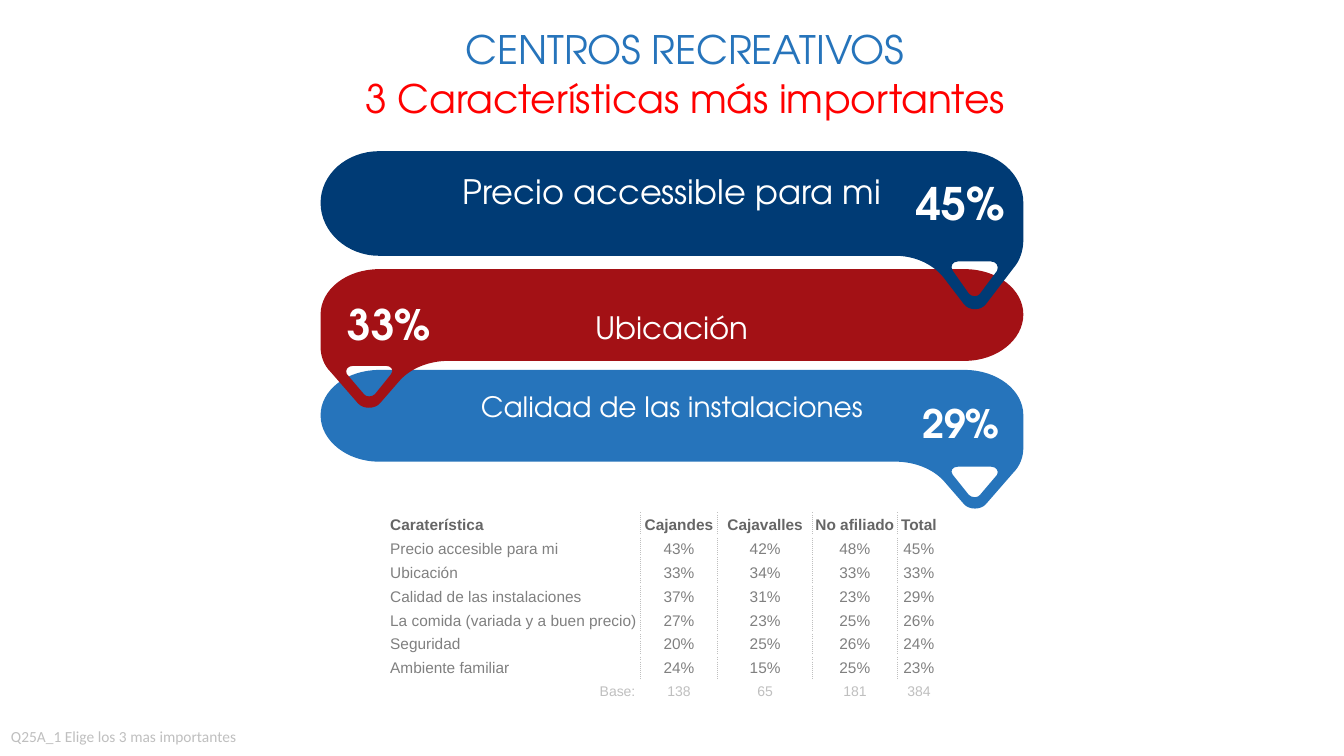
from dataclasses import dataclass

from lxml import etree
from pptx import Presentation
from pptx.dml.color import RGBColor
from pptx.enum.text import MSO_ANCHOR, MSO_AUTO_SIZE, PP_ALIGN as Align
from pptx.oxml.ns import qn
from pptx.util import Inches, Pt


@dataclass(frozen=True)
class Theme:
    display: str = "TeX Gyre Adventor"
    table_font: str = "Arial"
    note_font: str = "Calibri"
    white: str = "FFFFFF"
    blue: str = "2674BB"
    navy: str = "003B75"
    crimson: str = "A31115"
    red: str = "FF0000"
    heading_gray: str = "666666"
    body_gray: str = "808080"
    pale_gray: str = "BFBFBF"
    title_size: int = 28
    table_size: int = 11
    base_size: int = 10
    note_size: int = 11


theme = Theme()


def write(para, text, face, size, color, bold=False, align=Align.LEFT):
    para.text = text
    para.alignment = align
    for span in para.runs:
        span.font.name = face
        span.font.size = Pt(size)
        span.font.bold = bold
        span.font.color.rgb = RGBColor.from_string(color)


def add_text_box(left, top, width, height):
    box = page.shapes.add_textbox(Inches(left), Inches(top), Inches(width), Inches(height))
    box.text_frame.word_wrap = True
    box.text_frame.auto_size = MSO_AUTO_SIZE.SHAPE_TO_FIT_TEXT
    return box.text_frame


deck = Presentation()
deck.slide_width, deck.slide_height = Inches(13.33), Inches(7.5)
page = deck.slides.add_slide(deck.slide_layouts[6])

# Title and footnote
title = add_text_box(1.67, 0.24, 10.25, 0.97)
title.margin_left = title.margin_right = title.margin_bottom = 0
title.margin_top = Inches(0.01)
write(title.paragraphs[0], "CENTROS RECREATIVOS", theme.display, theme.title_size,
      theme.blue, align=Align.CENTER)
subtitle = title.add_paragraph()
write(subtitle, "3 Características más importantes", theme.display, theme.title_size,
      theme.red, align=Align.CENTER)
subtitle.space_before = Pt(1.5)
for para in title.paragraphs:
    para.runs[0].font._element.set("spc", "-5")

note = add_text_box(0.01, 7.16, 9.41, 0.29)
write(note.paragraphs[0], "Q25A_1 Elige los 3 mas importantes", theme.note_font,
      theme.note_size, theme.pale_gray)

# Banner contours in inches from the banner corner: one point is a line, three are a curve
BANNER_LEFT, BANNER_WIDTH = 3.18, 6.97
body = [
    [(6.39, 0)], [(0.58, 0)],
    [(0.26, 0), (0, 0.2), (0, 0.45)],
    [(0, 0.7), (0.26, 0.91), (0.58, 0.91)],
    [(5.7, 0.91)],
    [(5.89, 0.91), (6.07, 0.98), (6.18, 1.1)],
    [(6.38, 1.33)],
    [(6.43, 1.39), (6.55, 1.39), (6.6, 1.33)],
    [(6.87, 1.02)],
    [(6.94, 0.95), (6.97, 0.86), (6.97, 0.77)],
    [(6.97, 0.45)],
    [(6.97, 0.2), (6.71, 0), (6.39, 0)],
]
hole = [
    [(6.71, 1.04)], [(6.54, 1.24)],
    [(6.52, 1.27), (6.46, 1.27), (6.43, 1.24)],
    [(6.27, 1.04)],
    [(6.24, 1), (6.27, 0.96), (6.32, 0.96)],
    [(6.65, 0.96)],
    [(6.7, 0.96), (6.73, 1), (6.71, 1.04)],
]

# text, color, top, vertical stretch, mirrored, text inset, text size
banners = [
    ("Calidad de las instalaciones", theme.blue, 3.67, 1, False, 0.19, 20),
    ("Ubicación", theme.crimson, 2.67, 1, True, 0.39, 22),
    ("Precio accessible para mi", theme.navy, 1.5, 1.14, False, 0.2, 24),
]
for text, color, top, stretch, mirrored, inset, size in banners:
    outer, inner = [
        [(Inches(BANNER_LEFT + (BANNER_WIDTH - x if mirrored else x)), Inches(top + y * stretch))
         for segment in contour for x, y in segment]
        for contour in (body, hole)
    ]
    builder = page.shapes.build_freeform(*outer[0])
    builder.add_line_segments(outer[1:])
    builder.move_to(*inner[0])
    builder.add_line_segments(inner[1:])
    banner = builder.convert_to_shape()

    # Join the control points of each curve into one Bézier segment
    steps = banner._element.iter(qn("a:lnTo"))
    lines = list(steps)
    for segment in body[1:] + hole[1:]:
        members, lines = lines[:len(segment)], lines[len(segment):]
        if len(segment) == 3:
            curve = etree.Element(qn("a:cubicBezTo"))
            members[0].addprevious(curve)
            for member in members:
                curve.append(member[0])
                member.getparent().remove(member)

    banner.shadow.inherit = False
    banner.fill.solid()
    banner.fill.fore_color.rgb = RGBColor.from_string(color)
    banner.line.fill.background()
    frame = banner.text_frame
    frame.word_wrap = True
    frame.vertical_anchor = MSO_ANCHOR.TOP
    frame.margin_left = frame.margin_right = Inches(1.3)
    frame.margin_top, frame.margin_bottom = Inches(inset), Inches(0.04)
    write(frame.paragraphs[0], text, theme.display, size, theme.white, align=Align.CENTER)

for share, left, top, height, size in [("45%", 8.92, 1.69, 0.64, 32),
                                       ("33%", 3.25, 2.91, 0.61, 30),
                                       ("29%", 8.92, 3.91, 0.57, 28)]:
    frame = add_text_box(left, top, 1.22, height)
    write(frame.paragraphs[0], share, theme.display, size, theme.white, True, Align.CENTER)

# Table of features by affiliation
rows = [
    ("Caraterística", "Cajandes", "Cajavalles", "No afiliado", "Total"),
    ("Precio accesible para mi", "43%", "42%", "48%", "45%"),
    ("Ubicación", "33%", "34%", "33%", "33%"),
    ("Calidad de las instalaciones", "37%", "31%", "23%", "29%"),
    ("La comida (variada y a buen precio)", "27%", "23%", "25%", "26%"),
    ("Seguridad", "20%", "25%", "26%", "24%"),
    ("Ambiente familiar", "24%", "15%", "25%", "23%"),
    ("Base: ", "138", "65", "181", "384"),
]
widths = [2.49, 0.77, 0.94, 0.84, 0.43]
last_row, last_column = len(rows) - 1, len(widths) - 1
table = page.shapes.add_table(len(rows), len(widths), Inches(3.86), Inches(5.09),
                              Inches(sum(widths)), Inches(1.89)).table
table.first_row = table.horz_banding = False
for column, width in zip(table.columns, widths):
    column.width = Inches(width)

for r, row in enumerate(rows):
    table.rows[r].height = Inches(1.89 / len(rows))
    size, color = theme.table_size, theme.body_gray
    if r == 0:
        color = theme.heading_gray
    elif r == last_row:
        size, color = theme.base_size, theme.pale_gray
    for c, text in enumerate(row):
        cell = table.cell(r, c)
        cell.fill.background()
        cell.vertical_anchor = MSO_ANCHOR.MIDDLE
        cell.margin_left = cell.margin_right = cell.margin_top = Inches(0.01)
        cell.margin_bottom = 0
        align = Align.CENTER if c else Align.RIGHT if r == last_row else Align.LEFT
        write(cell.text_frame.paragraphs[0], text, theme.table_font, size, color, r == 0, align)
        dotted = {"lnL": c > 0 and r < last_row, "lnR": c < last_column and r < last_row,
                  "lnT": False, "lnB": False}
        properties = cell._tc.get_or_add_tcPr()
        for position, (edge, is_dotted) in enumerate(dotted.items()):
            line = etree.Element(qn(f"a:{edge}"), w=str(Pt(1)))
            fill = etree.SubElement(line, qn("a:solidFill"))
            etree.SubElement(fill, qn("a:srgbClr"),
                             val=theme.pale_gray if is_dotted else theme.white)
            etree.SubElement(line, qn("a:prstDash"), val="sysDot" if is_dotted else "solid")
            properties.insert(position, line)

deck.save("out.pptx")
